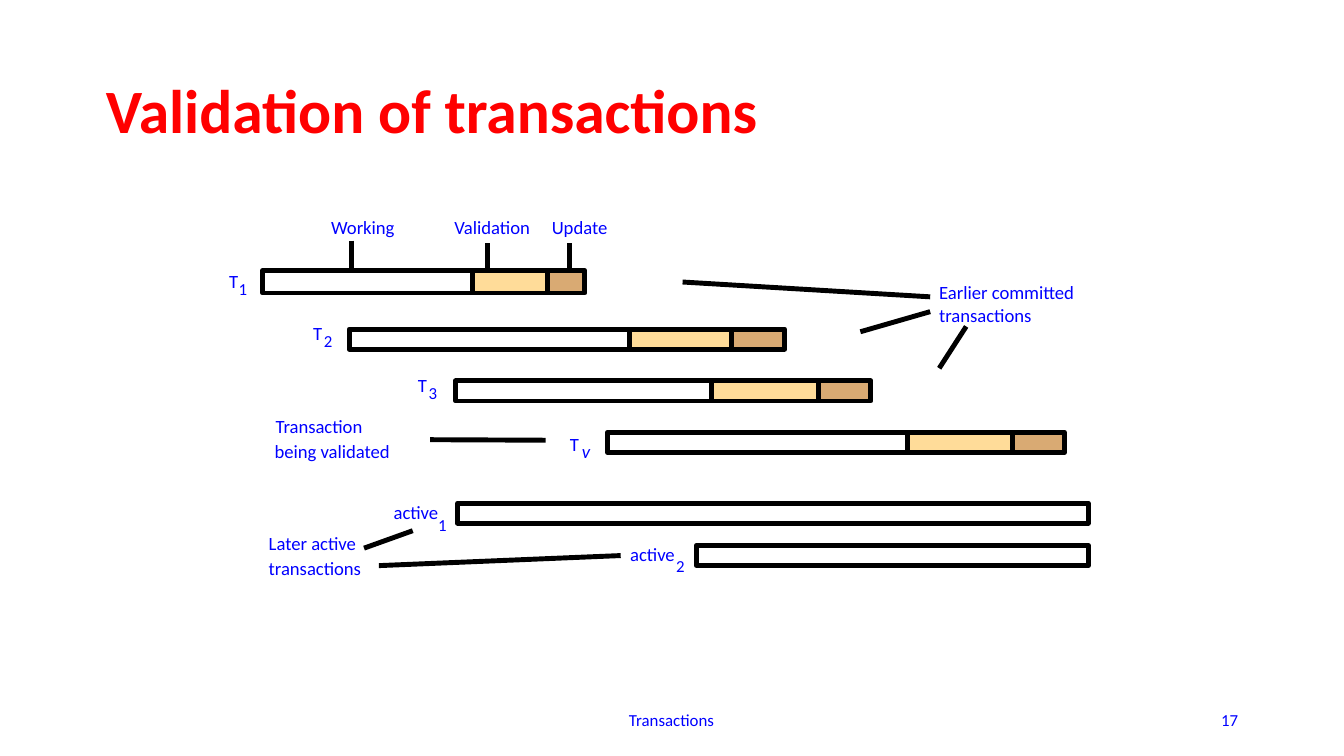
from dataclasses import dataclass
from lxml.etree import SubElement
from pptx import Presentation
from pptx.dml.color import RGBColor
from pptx.enum.shapes import MSO_CONNECTOR, MSO_SHAPE
from pptx.enum.text import MSO_ANCHOR, PP_ALIGN
from pptx.oxml.ns import qn
from pptx.util import Cm, Pt


@dataclass(frozen=True)
class Theme:
    font: str = "Calibri"
    red: str = "FF0000"
    blue: str = "0000FF"
    black: str = "000000"
    fills: tuple = ("FFFFFF", "FFDC99", "D9AA73")
    head: float = 33
    body: float = 10
    small: float = 9
    line: float = 2.64


theme = Theme()
deck = Presentation()
deck.slide_width = Cm(25.4)
deck.slide_height = deck.slide_width * 9 // 16
slide = deck.slides.add_slide(deck.slide_layouts[6])
shapes = slide.shapes


def write(text, x, y, w, h=0.43, size=theme.body, color=theme.blue, bold=False,
          italic=False, align=PP_ALIGN.LEFT, anchor=MSO_ANCHOR.TOP, pad=(0, 0),
          wrap=False, space=1.0):
    frame = shapes.add_textbox(Cm(x), Cm(y), Cm(w), Cm(h)).text_frame
    frame.word_wrap = wrap
    frame.vertical_anchor = anchor
    frame.margin_left = frame.margin_right = Cm(pad[0])
    frame.margin_top = frame.margin_bottom = Cm(pad[1])
    para = frame.paragraphs[0]
    para.alignment = align
    para.line_spacing = space
    run = para.add_run()
    run.text = text
    run.font.name = theme.font
    run.font.size = Pt(size)
    run.font.bold = bold
    run.font.italic = italic
    run.font.color.rgb = RGBColor.from_string(color)


block = dict(anchor=MSO_ANCHOR.MIDDLE, pad=(0.25, 0.13), wrap=True)
write("Validation of transactions", 1.75, 0.76, 21.92, 2.77, size=theme.head,
      color=theme.red, bold=True, space=0.9, **block)
write("Transactions", 8.41, 13.23, 8.56, 0.76, size=theme.small,
      align=PP_ALIGN.CENTER, **block)
write("17", 17.93, 13.23, 5.72, 0.76, size=theme.small,
      align=PP_ALIGN.RIGHT, **block)

lines = [
    (6.64, 4.55, 6.64, 5.16),
    (9.22, 4.6, 9.22, 5.16),
    (10.76, 4.6, 10.76, 5.16),
    (12.9, 5.33, 17.58, 5.61),
    (16.26, 6.27, 17.58, 5.89),
    (17.75, 6.96, 18.26, 6.17),
    (8.13, 8.31, 10.31, 8.32),
    (6.88, 10.36, 7.8, 10.03),
    (7.16, 10.69, 11.73, 10.5),
]
for x1, y1, x2, y2 in lines:
    link = shapes.add_connector(MSO_CONNECTOR.STRAIGHT, Cm(x1), Cm(y1), Cm(x2), Cm(y2))
    link.line.color.rgb = RGBColor.from_string(theme.black)
    link.line.width = Pt(theme.line)
    SubElement(link._element.spPr, qn("a:effectLst"))

bars = [
    (5.11, 0.43, (4.97, 8.94, 10.34, 11.05)),
    (6.22, 0.38, (6.6, 11.9, 13.83, 14.83)),
    (7.2, 0.38, (8.61, 13.45, 15.47, 16.46)),
    (8.17, 0.38, (11.48, 17.15, 19.13, 20.12)),
    (9.51, 0.38, (8.65, 20.57)),
    (10.31, 0.38, (13.16, 20.57)),
]
for y, h, edges in bars:
    for x, end, fill in zip(edges, edges[1:], theme.fills):
        phase = shapes.add_shape(MSO_SHAPE.RECTANGLE, Cm(x), Cm(y), Cm(end - x), Cm(h))
        phase.shadow.inherit = False
        phase.fill.solid()
        phase.fill.fore_color.rgb = RGBColor.from_string(fill)
        phase.line.color.rgb = RGBColor.from_string(theme.black)
        phase.line.width = Pt(theme.line)

names = [
    ("T", 4.33, 5.1, 0.2, "1", 4.51, 5.27),
    ("T", 5.92, 6.08, 0.2, "2", 6.12, 6.25),
    ("T", 7.9, 7.06, 0.2, "3", 8.1, 7.23),
    ("T", 10.77, 8.18, 0.2, "v", 11, 8.31),
    ("active", 7.44, 9.47, 0.97, "1", 8.28, 9.72),
    ("active", 11.91, 10.26, 0.97, "2", 12.78, 10.51),
]
for name, x, y, w, sub, left, top in names:
    var = sub == "v"
    write(name, x, y, w)
    write(sub, left, top, 0.18, 0.38, italic=var,
          size=theme.body if var else theme.small)

notes = [
    ("Working", 6.26, 4.08, 1.4),
    ("Validation", 8.59, 4.08, 1.65),
    ("Update", 10.43, 4.08, 1.22),
    ("Earlier committed", 17.75, 5.31, 2.95),
    ("transactions", 17.75, 5.74, 2.03),
    ("Transaction", 5.21, 7.84, 1.93),
    ("being validated", 5.19, 8.31, 2.54),
    ("Later active", 5.08, 10.05, 1.91),
    ("transactions", 5.08, 10.52, 2.03),
]
for note in notes:
    write(*note)

deck.save("out.pptx")
